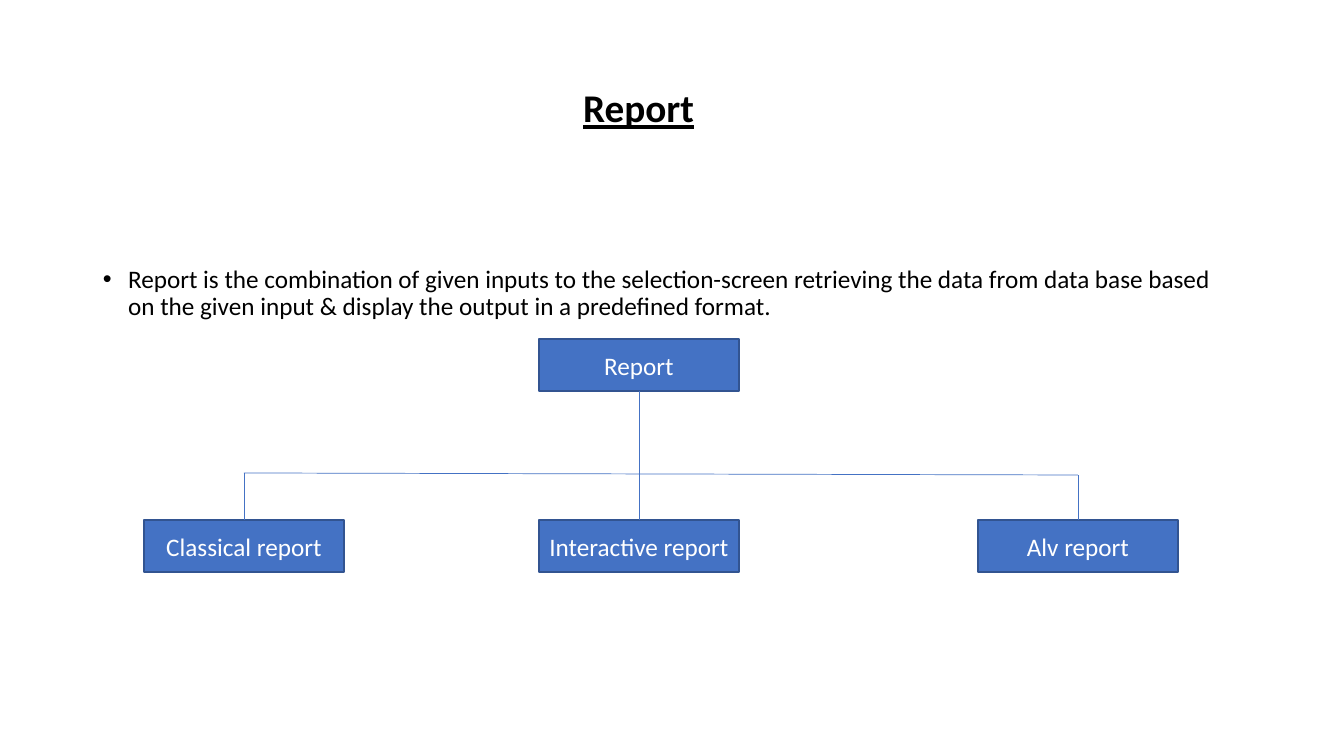
"""Build a slide that defines a report and shows its three kinds as a tree."""
import pptx
import pptx.dml.color
import pptx.enum.shapes
import pptx.enum.text
import pptx.oxml.ns
import pptx.util
from lxml import etree

EMU_PER_PX = 914400 / 100.8
BOX_WIDTH, BOX_HEIGHT = 200, 52
ROOT_LEFT, ROOT_TOP, CHILD_TOP = 539, 339, 520
BLUE, DARK_BLUE, BLACK, WHITE = "4472C4", "325491", "000000", "FFFFFF"
CENTER = pptx.enum.text.PP_ALIGN.CENTER
MIDDLE = pptx.enum.text.MSO_ANCHOR.MIDDLE


def px(*lengths):
    return [pptx.util.Emu(round(length * EMU_PER_PX)) for length in lengths]


def style(item, color, size):
    item.font.name = "Calibri"
    item.font.size = pptx.util.Pt(size)
    item.font.color.rgb = pptx.dml.color.RGBColor.from_string(color)


presentation = pptx.Presentation()
presentation.slide_width, presentation.slide_height = px(1344, 756)
slide = presentation.slides.add_slide(presentation.slide_layouts[5])

title = slide.shapes.title
title.left, title.top, title.width, title.height = px(59, 37, 1159, 146)
title.text_frame.text = "Report"
title.text_frame.auto_size = pptx.enum.text.MSO_AUTO_SIZE.NONE
title.text_frame.vertical_anchor = MIDDLE
paragraph = title.text_frame.paragraphs[0]
paragraph.alignment = CENTER
paragraph.line_spacing = 0.9
style(paragraph, BLACK, 28)
paragraph.font.bold = True
paragraph.font.underline = True

definition = slide.shapes.add_textbox(*px(93, 262, 1159, 457))
definition.text_frame.word_wrap = True
paragraph = definition.text_frame.paragraphs[0]
paragraph.text = (
    "Report is the combination of given inputs to the selection-screen retrieving "
    "the data from data base based on the given input & display the output in a "
    "predefined format."
)
paragraph.line_spacing = 0.9
paragraph.space_before = pptx.util.Pt(10)
style(paragraph, BLACK, 18)
properties = paragraph._p.get_or_add_pPr()
properties.set("marL", "228600")
properties.set("indent", "-228600")
bullet_font = etree.SubElement(properties, pptx.oxml.ns.qn("a:buFont"))
bullet_font.set("typeface", "Arial")
bullet = etree.SubElement(properties, pptx.oxml.ns.qn("a:buChar"))
bullet.set("char", "•")
properties.append(properties.find(pptx.oxml.ns.qn("a:defRPr")))

boxes = {}
for label, left, top in [
    ("Report", ROOT_LEFT, ROOT_TOP),
    ("Alv report", 978, CHILD_TOP),
    ("Interactive report", ROOT_LEFT, CHILD_TOP),
    ("Classical report", 144, CHILD_TOP),
]:
    box = slide.shapes.add_shape(
        pptx.enum.shapes.MSO_SHAPE.RECTANGLE, *px(left, top, BOX_WIDTH, BOX_HEIGHT)
    )
    box.shadow.inherit = False
    box.fill.solid()
    box.fill.fore_color.rgb = pptx.dml.color.RGBColor.from_string(BLUE)
    box.line.color.rgb = pptx.dml.color.RGBColor.from_string(DARK_BLUE)
    box.line.width = pptx.util.Pt(1)
    box.text_frame.text = label
    box.text_frame.word_wrap = True
    box.text_frame.vertical_anchor = MIDDLE
    paragraph = box.text_frame.paragraphs[0]
    paragraph.alignment = CENTER
    style(paragraph, WHITE, 18)
    boxes[label] = box

for start_box, end_box, start_x, start_y, end_x, end_y in [
    ("Classical report", None, 244, CHILD_TOP, 244, 473),
    ("Interactive report", None, 639, CHILD_TOP, 639, 475),
    ("Alv report", None, 1078, CHILD_TOP, 1078, 475),
    (None, None, 244, 473, 1078, 475),
    ("Report", "Interactive report", 639, ROOT_TOP + BOX_HEIGHT, 639, CHILD_TOP),
]:
    connector = slide.shapes.add_connector(
        pptx.enum.shapes.MSO_CONNECTOR.STRAIGHT, *px(start_x, start_y, end_x, end_y)
    )
    connector.line.color.rgb = pptx.dml.color.RGBColor.from_string(BLUE)
    connector.line.width = pptx.util.Pt(0.5)
    etree.SubElement(connector._element.spPr, pptx.oxml.ns.qn("a:effectLst"))
    if start_box:
        connector.begin_connect(boxes[start_box], 2 if start_box == "Report" else 0)
    if end_box:
        connector.end_connect(boxes[end_box], 0)

presentation.save("out.pptx")
